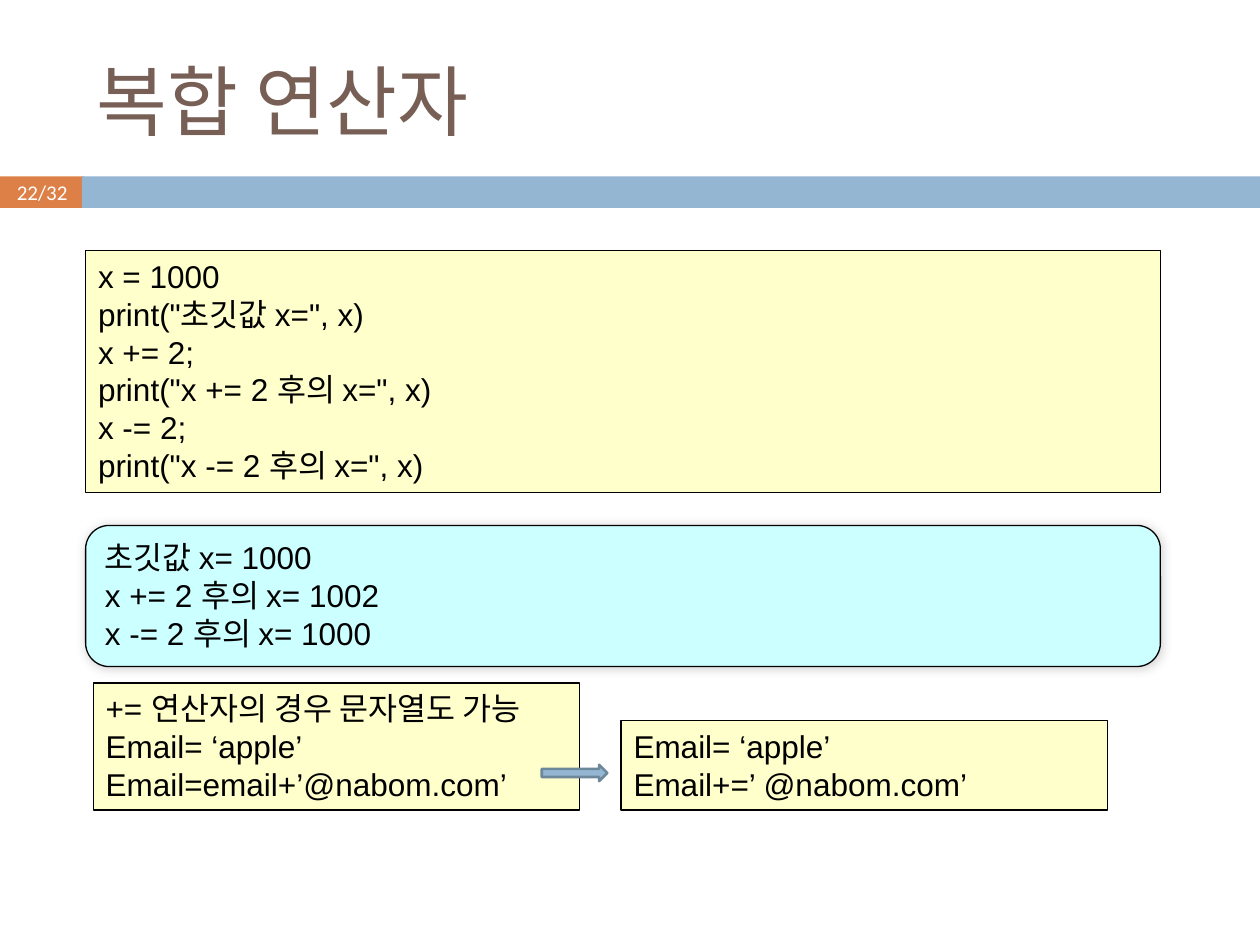
from lxml import etree
from pptx import Presentation
from pptx import util as u
from pptx.dml.color import RGBColor
from pptx.enum import shapes, text
from pptx.oxml import ns

WIDE, HIGH = u.Inches(10), u.Inches(7.5)
COLS, ROWS = 100, 75
BLACK = RGBColor(0x00, 0x00, 0x00)
WHITE = RGBColor(0xFF, 0xFF, 0xFF)
BROWN = RGBColor(0x77, 0x5F, 0x55)
ORANGE = RGBColor(0xDD, 0x80, 0x47)
BLUE = RGBColor(0x94, 0xB6, 0xD2)
SLATE = RGBColor(0x6D, 0x87, 0x9B)
CREAM = RGBColor(0xFF, 0xFF, 0xCC)
CYAN = RGBColor(0xCC, 0xFF, 0xFF)
KIND = shapes.MSO_SHAPE
ANCHOR = text.MSO_ANCHOR
ALIGN = text.PP_ALIGN

CODE = ['x = 1000', 'print("초깃값 x=", x)', 'x += 2;',
        'print("x += 2 후의 x=", x)', 'x -= 2;', 'print("x -= 2 후의 x=", x)']
OUTPUT = ["초깃값 x= 1000", "x += 2 후의 x= 1002", "x -= 2 후의 x= 1000"]
LONG = ["+= 연산자의 경우 문자열도 가능", "Email= ‘apple’", "Email=email+’@nabom.com’"]
SHORT = ["Email= ‘apple’", "Email+=’ @nabom.com’"]


def place(col, row, cols, rows):
    wide, high = WIDE / COLS, HIGH / ROWS
    return [u.Emu(round(n)) for n in (col * wide, row * high, cols * wide, rows * high)]


def write(shape, lines, size, font, color, align=ALIGN.LEFT, anchor=ANCHOR.MIDDLE):
    frame = shape.text_frame
    frame.word_wrap = True
    frame.vertical_anchor = anchor
    for i, line in enumerate(lines):
        para = frame.add_paragraph() if i else frame.paragraphs[0]
        para.alignment = align
        run = para.add_run()
        run.text = line
        run.font.size = u.Pt(size)
        run.font.name = font
        run.font.color.rgb = color


def draw(slide, kind, area, fill, line=None, width=0.75):
    shape = slide.shapes.add_shape(kind, *place(*area))
    shape.shadow.inherit = False
    shape.fill.solid()
    shape.fill.fore_color.rgb = fill
    if line is None:
        shape.line.fill.background()
    else:
        shape.line.color.rgb = line
        shape.line.width = u.Pt(width)
    return shape


def panel(slide, area, lines, fill=CREAM, kind=KIND.RECTANGLE):
    shape = draw(slide, kind, area, fill, BLACK)
    write(shape, lines, 18, "Arial", BLACK, anchor=ANCHOR.TOP)
    shape.text_frame.auto_size = text.MSO_AUTO_SIZE.SHAPE_TO_FIT_TEXT
    return shape


def glow(shape):
    effect = shape.element.spPr.find(ns.qn("a:effectLst"))
    shade = etree.SubElement(effect, ns.qn("a:outerShdw"), blurRad=str(u.Pt(6)),
                             dist="0", dir=str(315 * 60000), rotWithShape="0")
    color = etree.SubElement(shade, ns.qn("a:srgbClr"), val=str(BLACK))
    etree.SubElement(color, ns.qn("a:alpha"), val="20000")


def header(slide):
    page = draw(slide, KIND.RECTANGLE, (0, 14, 6.7, 2.5), ORANGE)
    write(page, ["22/32"], 12, "Calibri", WHITE, ALIGN.CENTER)
    draw(slide, KIND.RECTANGLE, (6.5, 14, 93.5, 2.5), BLUE)
    title = slide.shapes.add_textbox(*place(6.7, 2.5, 89.2, 10.8))
    write(title, ["복합 연산자"], 44, "Calibri", BROWN)


def main():
    deck = Presentation()
    deck.slide_width, deck.slide_height = WIDE, HIGH
    slide = deck.slides.add_slide(deck.slide_layouts[6])
    header(slide)
    panel(slide, (6.8, 19.9, 85.3, 19.2), CODE)
    glow(panel(slide, (6.8, 41.7, 85.3, 11.2), OUTPUT, CYAN,
               KIND.FLOWCHART_ALTERNATE_PROCESS))
    panel(slide, (7.4, 54.2, 38.6, 10.1), LONG)
    panel(slide, (49.3, 57.2, 38.6, 7.1), SHORT)
    draw(slide, KIND.RIGHT_ARROW, (43, 60.7, 5.2, 1.3), BLUE, SLATE, 1.5)
    deck.save("out.pptx")


if __name__ == "__main__":
    main()
